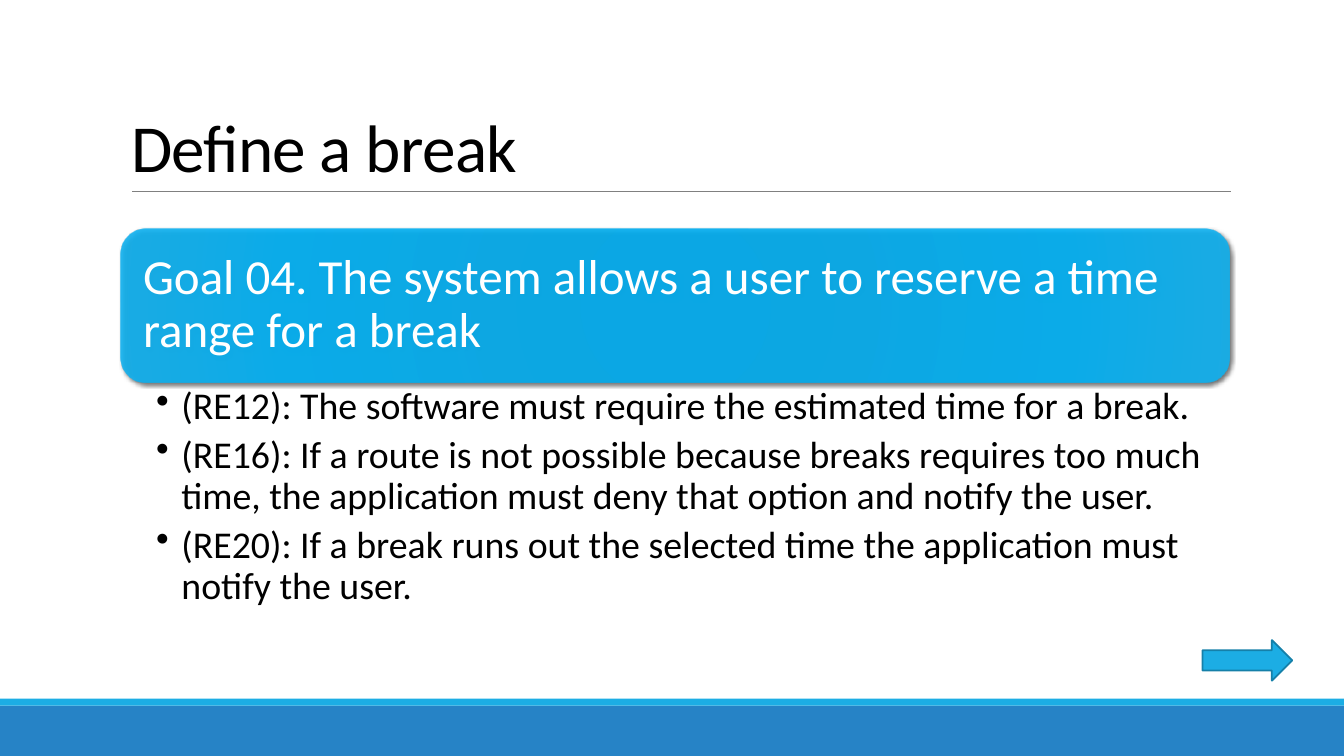
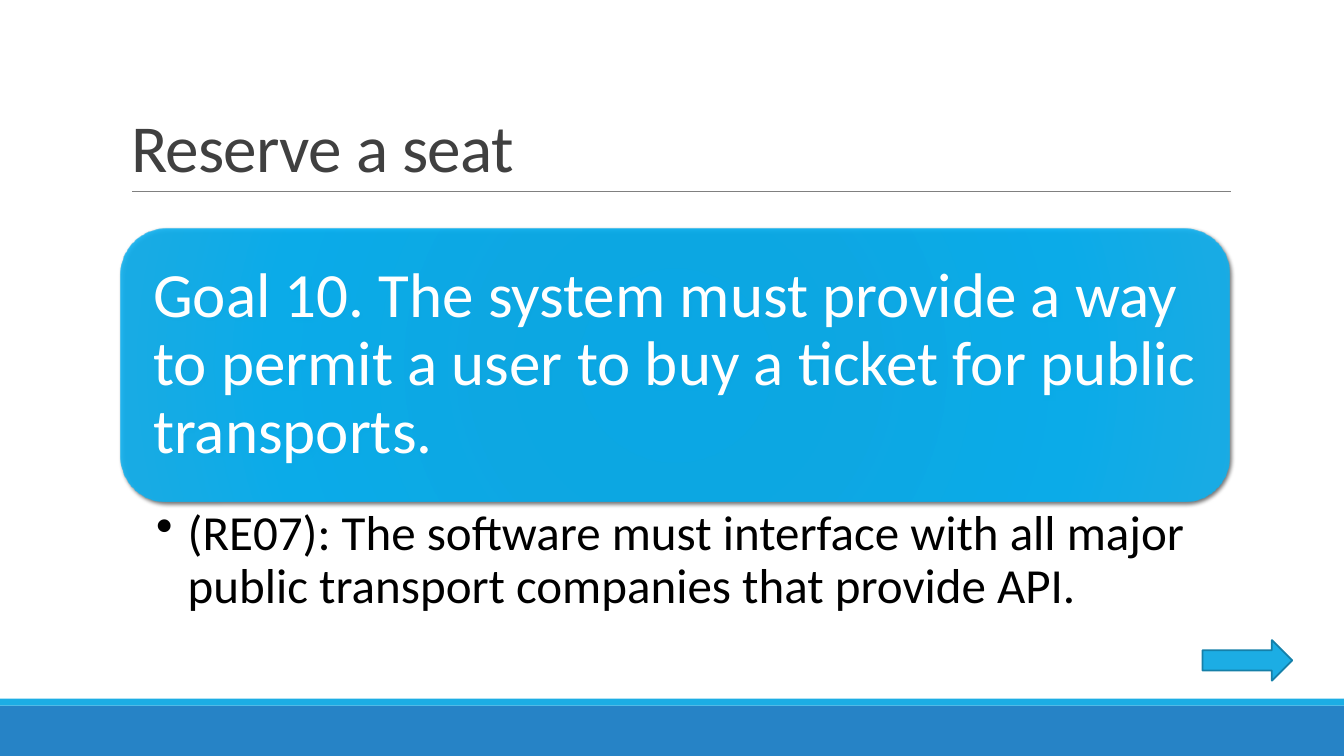
from pptx import Presentation
from pptx.dml.color import RGBColor
from pptx.enum import shapes as s, text as t
from pptx.oxml import parse_xml
from pptx.oxml.ns import nsdecls
from pptx.oxml.xmlchemy import OxmlElement
from pptx.util import Pt

HUES = {
    "band": "2683C6", "sky": "1CADE4", "edge": "1580A9", "rule": "808080",
    "black": "000000", "gray": "404040", "white": "FFFFFF",
}
GLOW = [(0, "00ADEF"), (34, "03ADEE"), (70, "00B1F5"), (100, "12B1EE")]
FONT = "Calibri"
LEFT, WIDE = 86.4, 792
TOP, END = 163.5, 444


def hue(name):
    return RGBColor.from_string(HUES[name])


class Deck:
    def __init__(self):
        self.prs = Presentation()
        self.prs.slide_width, self.prs.slide_height = Pt(960), Pt(540)
        self.slide = None

    def page(self, title, color):
        """Start a slide with its title, rule, bands and arrow."""
        self.slide = self.prs.slides.add_slide(self.prs.slide_layouts[5])
        self.shape("RECTANGLE", (0, 504, 960, 36), "band")
        self.shape("RECTANGLE", (0, 499, 960, 5), "sky")
        self.rule(94.5, 136.8, 879)
        self.title(title, color)
        self.shape("RIGHT_ARROW", (859, 457.2, 64, 29), "sky", "edge")

    def shape(self, kind, box, fill, line=None):
        shape = self.slide.shapes.add_shape(
            s.MSO_SHAPE[kind], *map(Pt, box))
        shape.shadow.inherit = False
        shape.fill.solid()
        shape.fill.fore_color.rgb = hue(fill)
        if line:
            shape.line.color.rgb = hue(line)
            shape.line.width = Pt(1.25)
        else:
            shape.line.fill.background()
        return shape

    def rule(self, left, top, right):
        line = self.slide.shapes.add_connector(
            s.MSO_CONNECTOR.STRAIGHT, Pt(left), Pt(top), Pt(right), Pt(top))
        line.line.color.rgb = hue("rule")
        line.line.width = Pt(0.5)
        line._element.spPr.append(OxmlElement("a:effectLst"))

    def frame(self, shape, anchor, pads):
        frame = shape.text_frame
        frame.word_wrap = True
        frame.auto_size = t.MSO_AUTO_SIZE.NONE
        frame.vertical_anchor = anchor
        (frame.margin_left, frame.margin_top,
         frame.margin_right, frame.margin_bottom) = map(Pt, pads)
        return frame

    def text(self, para, words, size, color, lead=0.9, after=0):
        para.alignment = t.PP_ALIGN.LEFT
        para.line_spacing = lead
        para.space_before, para.space_after = Pt(0), Pt(after)
        run = para.add_run()
        run.text = words
        run.font.name, run.font.size = FONT, Pt(size)
        run.font.color.rgb = hue(color)
        return run

    def title(self, words, color):
        shape = self.slide.shapes.title
        shape.left, shape.top = Pt(LEFT), Pt(22.4)
        shape.width, shape.height = Pt(WIDE), Pt(114.4)
        frame = self.frame(shape, t.MSO_ANCHOR.BOTTOM, (7.2, 3.6, 7.2, 3.6))
        run = self.text(frame.paragraphs[0], words, 48, color, 0.85)
        run._r.get_or_add_rPr().set("spc", "-50")

    def card(self, words, size, tall):
        shape = self.shape("ROUNDED_RECTANGLE", (LEFT, TOP, WIDE, tall), "sky")
        self.glow(shape)
        frame = self.frame(shape, t.MSO_ANCHOR.MIDDLE, [0.3 * size] * 4)
        self.text(frame.paragraphs[0], words, size, "white",
                  after=0.35 * size)

    def glow(self, shape):
        """Give a shape the round gradient and the soft shadow."""
        props = shape._element.spPr
        stops = "".join(
            f'<a:gs pos="{at * 1000}"><a:srgbClr val="{tint}">'
            '<a:alpha val="90000"/></a:srgbClr></a:gs>' for at, tint in GLOW)
        grad = parse_xml(
            f'<a:gradFill {nsdecls("a")}><a:gsLst>{stops}</a:gsLst>'
            '<a:path path="circle"><a:fillToRect l="100000" t="100000" '
            'r="100000" b="100000"/></a:path></a:gradFill>')
        shade = parse_xml(
            f'<a:outerShdw {nsdecls("a")} blurRad="{Pt(3)}" dist="{Pt(2)}" '
            f'dir="2700000"><a:srgbClr val="{HUES["black"]}">'
            '<a:alpha val="60000"/></a:srgbClr></a:outerShdw>')
        solid = props.find("{*}solidFill")
        props.replace(solid, grad)
        props.find("{*}effectLst").append(shade)

    def list(self, items, size, top, right):
        box = self.slide.shapes.add_textbox(
            *map(Pt, (LEFT, top, WIDE, END - top)))
        pad = size / 8
        frame = self.frame(box, t.MSO_ANCHOR.TOP, (25.2, pad, right, pad))
        for i, words in enumerate(items):
            para = frame.add_paragraph() if i else frame.paragraphs[0]
            self.text(para, words, size, "black", after=0.21 * size)
            self.mark(para, 18 if size < 30 else 22.5)

    def mark(self, para, hang):
        """Hang a bullet in front of a paragraph."""
        props = para._p.get_or_add_pPr()
        props.set("marL", str(Pt(hang)))
        props.set("indent", str(-Pt(hang)))
        dot = OxmlElement("a:buChar")
        dot.set("char", "•")
        props.append(dot)

    def goal(self, words, size, tall, items, small, right):
        self.card(words, size, tall)
        self.list(items, small, TOP + tall, right)


def main():
    deck = Deck()
    deck.page("Define a break", "black")
    deck.goal(
        "Goal 04. The system allows a user to reserve a time range for a break",
        35, 109.5,
        ["(RE12): The software must require the estimated time for a break.",
         "(RE16): If a route is not possible because breaks requires too much "
         "time, the application must deny that option and notify the user.",
         "(RE20): If a break runs out the selected time the application must "
         "notify the user."],
        27, 19.4)
    deck.page("Reserve a seat", "gray")
    deck.goal(
        "Goal 10. The system must provide a way to permit a user to buy a "
        "ticket for public transports.",
        45, 195,
        ["(RE07): The software must interface with all major public transport "
         "companies that provide API."],
        35, 25.2)
    deck.prs.save("out.pptx")


if __name__ == "__main__":
    main()
